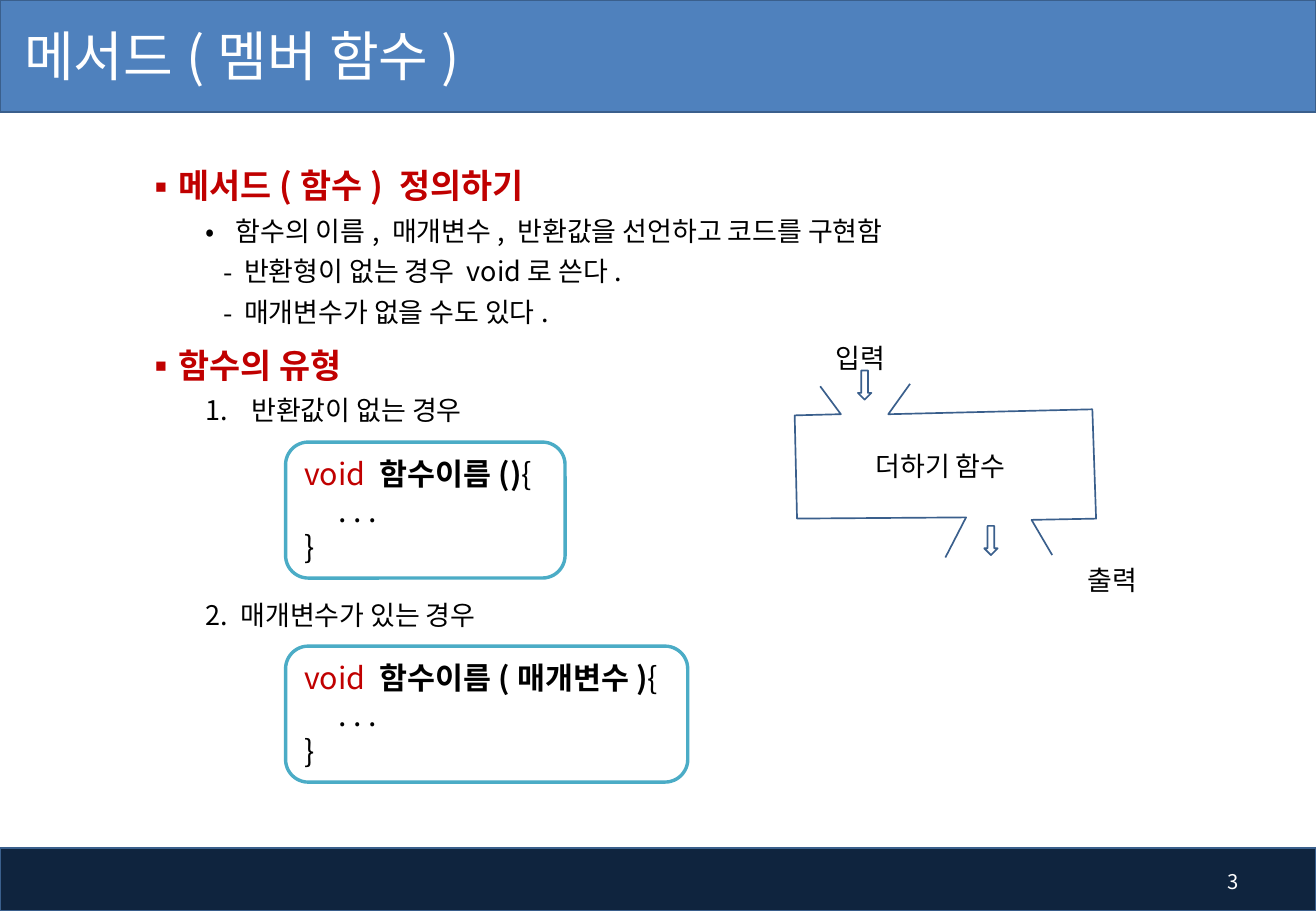
from typing import NamedTuple, Optional

from lxml.etree import SubElement
from pptx import Presentation
from pptx.dml.color import RGBColor
from pptx.enum.shapes import MSO_SHAPE as Preset
from pptx.enum.text import MSO_ANCHOR as Anchor, MSO_AUTO_SIZE as AutoSize, PP_ALIGN as Align
from pptx.oxml.ns import qn
from pptx.util import Inches, Pt

WIDTH, HEIGHT = Inches(10.83), Inches(7.5)
FONT = "Noto Sans CJK KR"
WHITE, BLACK, RED = "FFFFFF", "000000", "C00000"
NAVY, BLUE, OUTLINE, TEAL = "0F243E", "4F81BD", "3A5F8C", "4BACC6"


class Area(NamedTuple):
    """Left, top, width and height in percent of the slide."""
    left: float
    top: float
    width: float
    height: float


class Item(NamedTuple):
    """A list paragraph with its bullet, or its start number."""
    text: str
    marker: str | int
    margin: float
    hanging: float
    before: float
    heading: bool = False


class Label(NamedTuple):
    """A short free-standing text."""
    text: str
    area: Area
    size: float = 16
    color: str = BLACK
    align: Align = Align.LEFT


class CodeBox(NamedTuple):
    """A rounded box showing a function signature."""
    signature: str
    area: Area


ITEMS = [
    Item("메서드(함수) 정의하기", "▪", 0.25, 0.25, 0, True),
    Item("함수의 이름, 매개변수, 반환값을 선언하고 코드를 구현함", "•", 0.75, 0.25, 5),
    Item("반환형이 없는 경우 void로 쓴다.", "-", 0.82, 0.17, 5),
    Item("매개변수가 없을 수도 있다.", "-", 0.82, 0.17, 5),
    Item("함수의 유형", "▪", 0.25, 0.25, 10, True),
    Item("반환값이 없는 경우", 1, 0.88, 0.38, 5),
    Item("매개변수가 있는 경우", 2, 0.79, 0.29, 102),
]
LABELS = [
    Label("3", Area(89.38, 94.13, 5.63, 5.33), 12, WHITE, Align.RIGHT),
    Label("더하기 함수", Area(64.64, 48.67, 13.67, 4.93), align=Align.CENTER),
    Label("입력", Area(62.6, 36.8, 6.83, 4.93)),
    Label("출력", Area(81.72, 61.2, 6.83, 4.93)),
]
CODE_BOXES = [
    CodeBox("함수이름()", Area(21.7, 48.53, 21.24, 14.93)),
    CodeBox("함수이름(매개변수)", Area(21.7, 70.93, 30.56, 14.93)),
]
BANDS = [(Area(0, 93.07, 100, 6.93), NAVY), (Area(0, 0, 100, 12.27), BLUE)]
ARROWS = [Area(65.19, 40.67, 1.02, 3.2), Area(74.79, 57.73, 1.02, 3.2)]
MACHINE = [
    [(62.33, 42.4), (63.9, 45.47), (60.39, 45.6), (60.57, 56.93), (73.41, 56.8), (71.84, 61.2)],
    [(69.16, 42.13), (67.5, 45.47), (83.01, 44.93), (83.29, 56.93), (78.39, 57.07), (79.96, 60.93)],
]


def rgb(color: str) -> RGBColor:
    """Turn a hex string into a colour."""
    return RGBColor.from_string(color)


def across(share: float) -> int:
    """Turn a percentage of the slide width into a length."""
    return round(WIDTH * share / 100)


def down(share: float) -> int:
    """Turn a percentage of the slide height into a length."""
    return round(HEIGHT * share / 100)


def place(area: Area) -> tuple[int, int, int, int]:
    """Turn an area into lengths."""
    return across(area.left), down(area.top), across(area.width), down(area.height)


def move(shape, area: Area) -> None:
    """Move and resize a placeholder."""
    shape.left, shape.top, shape.width, shape.height = place(area)


def style_run(run, size: float, color: str, bold: bool = False) -> None:
    """Set the font of a run for Latin and Korean letters."""
    run.font.size, run.font.bold, run.font.name = Pt(size), bold, FONT
    run.font.color.rgb = rgb(color)
    SubElement(run._r.get_or_add_rPr(), qn("a:ea"), typeface=FONT)


def style_shape(shape, fill: Optional[str], line: str, width: float = 1) -> None:
    """Set fill and outline and drop the shadow."""
    shape.shadow.inherit = False
    if fill:
        shape.fill.solid()
        shape.fill.fore_color.rgb = rgb(fill)
    else:
        shape.fill.background()
    shape.line.color.rgb = rgb(line)
    shape.line.width = Pt(width)


def add_preset(slide, preset: Preset, area: Area, fill: Optional[str], line: str, width: float = 1):
    """Add a styled preset shape."""
    shape = slide.shapes.add_shape(preset, *place(area))
    style_shape(shape, fill, line, width)
    return shape


def fill_title(title) -> None:
    """Write the slide title."""
    move(title, Area(0, -0.27, 62.6, 12.53))
    frame = title.text_frame
    frame.text = "메서드(멤버 함수)"
    frame.auto_size, frame.vertical_anchor = AutoSize.NONE, Anchor.MIDDLE
    frame.margin_left = Inches(0.2)
    frame.paragraphs[0].alignment = Align.LEFT
    style_run(frame.paragraphs[0].runs[0], 32, WHITE)


def fill_body(body, items: list[Item]) -> None:
    """Write the list of headings and points."""
    move(body, Area(10.06, 17.47, 84.3, 68.4))
    frame = body.text_frame
    frame.text = "\n".join(item.text for item in items)
    frame.auto_size, frame.vertical_anchor = AutoSize.NONE, Anchor.TOP
    for paragraph, item in zip(frame.paragraphs, items):
        paragraph.level = 0 if item.heading else 1
        properties = paragraph._p.get_or_add_pPr()
        properties.set("marL", str(Inches(item.margin)))
        properties.set("indent", str(-Inches(item.hanging)))
        if isinstance(item.marker, int):
            SubElement(properties, qn("a:buFont"), typeface=FONT)
            SubElement(properties, qn("a:buAutoNum"), type="arabicPeriod", startAt=str(item.marker))
        else:
            SubElement(properties, qn("a:buFont"), typeface=FONT)
            SubElement(properties, qn("a:buChar"), char=item.marker)
        paragraph.space_before = Pt(item.before)
        size, color = (20, RED) if item.heading else (16, BLACK)
        style_run(paragraph.runs[0], size, color, item.heading)


def add_label(slide, label: Label) -> None:
    """Add a short text."""
    frame = slide.shapes.add_textbox(*place(label.area)).text_frame
    frame.text = label.text
    frame.word_wrap, frame.vertical_anchor = True, Anchor.MIDDLE
    frame.paragraphs[0].alignment = label.align
    style_run(frame.paragraphs[0].runs[0], label.size, label.color)


def add_code_box(slide, box: CodeBox) -> None:
    """Add a function skeleton in a rounded box."""
    frame = add_preset(slide, Preset.ROUNDED_RECTANGLE, box.area, WHITE, TEAL, 2).text_frame
    frame.text = "void \n     . . .\n}"
    frame.word_wrap, frame.vertical_anchor = True, Anchor.MIDDLE
    first = frame.paragraphs[0]
    for text in (box.signature, "{"):
        first.add_run().text = text
    for paragraph in frame.paragraphs:
        paragraph.alignment = Align.LEFT
        for run in paragraph.runs:
            style_run(run, 18, RED if run.text == "void " else BLACK, run.text == box.signature)


def add_machine(slide) -> None:
    """Draw the function as a machine with a funnel and an outlet."""
    group = slide.shapes.add_group_shape()
    for outline in MACHINE:
        start, *rest = [(across(x), down(y)) for x, y in outline]
        builder = group.shapes.build_freeform(*start)
        builder.add_line_segments(rest, close=False)
        style_shape(builder.convert_to_shape(), None, OUTLINE)


def main() -> None:
    """Build and save the slide."""
    presentation = Presentation()
    presentation.slide_width, presentation.slide_height = WIDTH, HEIGHT
    slide = presentation.slides.add_slide(presentation.slide_layouts[1])
    title, body = slide.shapes.title, slide.placeholders[1]
    for area, color in BANDS:
        band = add_preset(slide, Preset.RECTANGLE, area, color, OUTLINE)
        title.element.addprevious(band.element)
    fill_title(title)
    fill_body(body, ITEMS)
    add_machine(slide)
    for area in ARROWS:
        add_preset(slide, Preset.DOWN_ARROW, area, None, OUTLINE)
    for label in LABELS:
        add_label(slide, label)
    for box in CODE_BOXES:
        add_code_box(slide, box)
    presentation.save("out.pptx")


if __name__ == "__main__":
    main()
